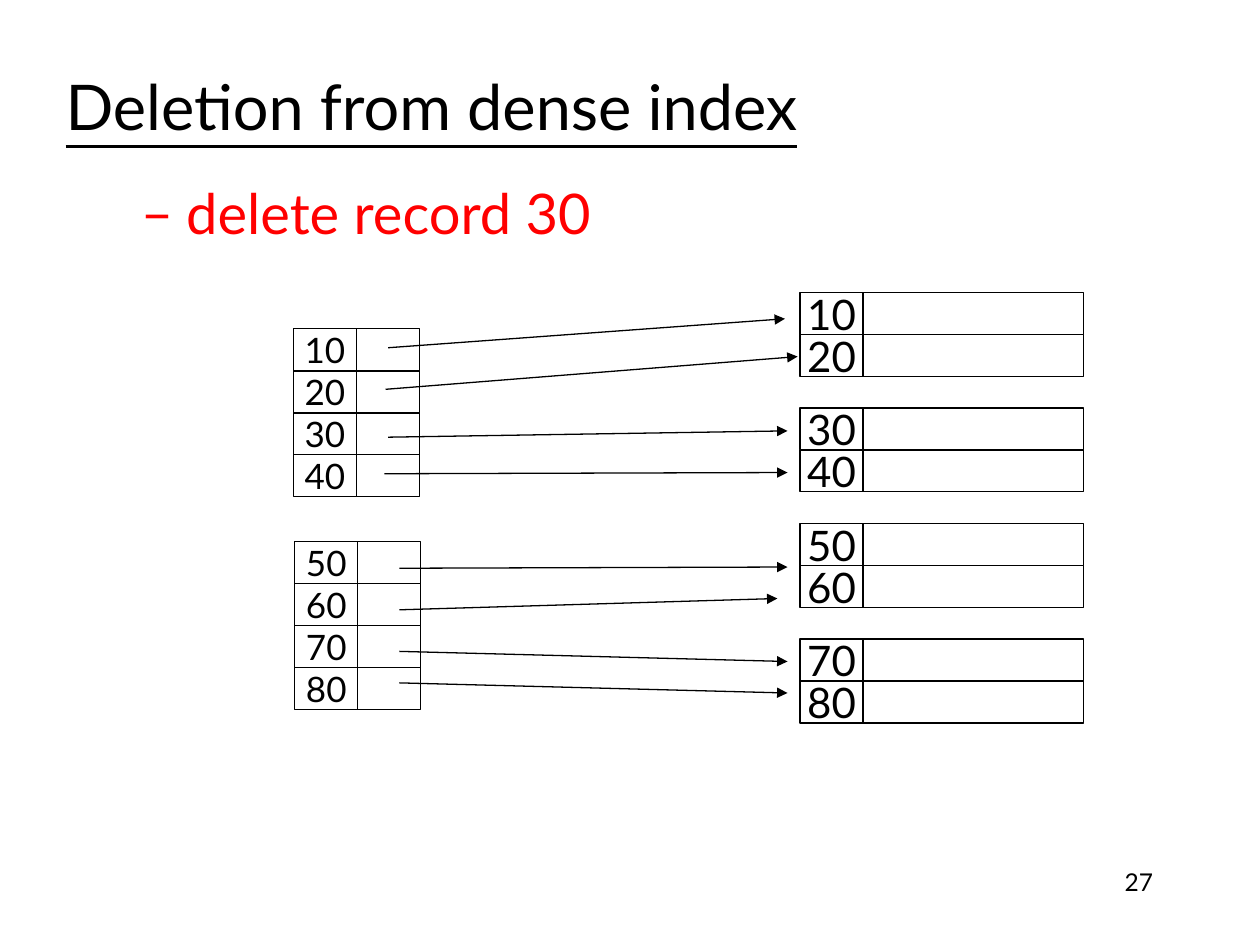
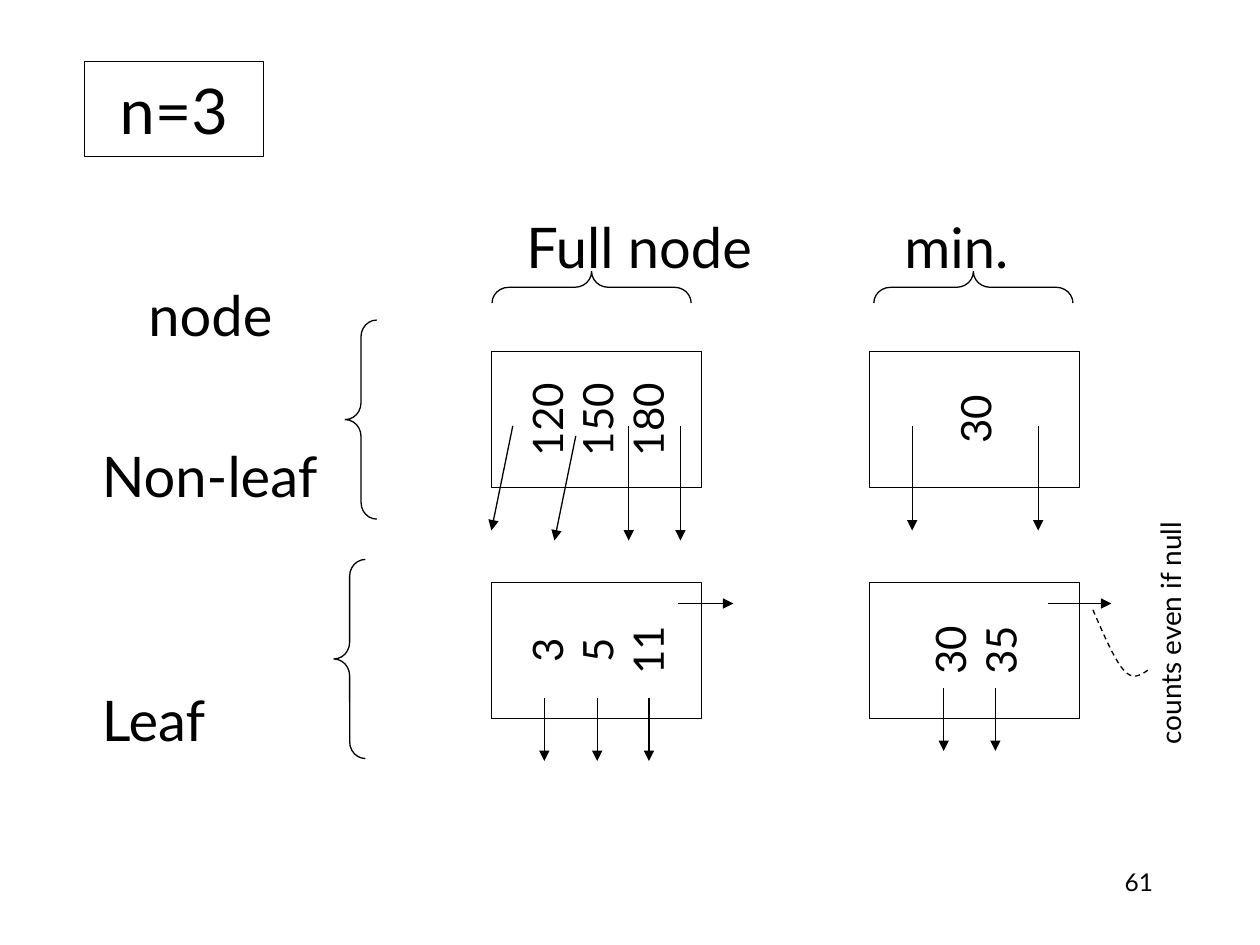
import dataclasses
import pptx
import pptx.util
import pptx.dml.color
import pptx.enum.dml
import pptx.enum.shapes
import pptx.enum.text
import pptx.oxml
import pptx.oxml.ns

Inches = pptx.util.Inches
ALIGN = pptx.enum.text.PP_ALIGN
ANCHOR = pptx.enum.text.MSO_ANCHOR
SHAPE = pptx.enum.shapes.MSO_SHAPE
NS = pptx.oxml.ns.nsdecls("a")


@dataclasses.dataclass(frozen=True)
class Theme:
    font: str = "Lato"
    ink: str = "000000"
    paper: str = "FFFFFF"
    alert: str = "FF0000"
    title: int = 36
    label: int = 32
    key: int = 24
    entry: int = 20
    note: int = 16
    page: int = 14
    line: float = 0.75


THEME = Theme()
ROW = 1 / 3
KEY = 0.5


def rgb(code):
    return pptx.dml.color.RGBColor.from_string(code)


def write(frame, text, size=THEME.label, color=THEME.ink, align=ALIGN.LEFT,
          anchor=ANCHOR.MIDDLE, wrap=False, under=False, bullet=None, hang=0):
    frame.auto_size = pptx.enum.text.MSO_AUTO_SIZE.NONE
    frame.word_wrap = wrap
    frame.vertical_anchor = anchor
    frame.margin_left = frame.margin_right = Inches(0.1)
    frame.margin_top = frame.margin_bottom = Inches(0.05)
    frame.text = text
    for para in frame.paragraphs:
        para.alignment = align
        if bullet:
            props = para._p.get_or_add_pPr()
            props.set("marL", str(Inches(hang)))
            props.set("indent", str(-Inches(hang)))
            props.append(pptx.oxml.parse_xml(f'<a:buFont {NS} typeface="{THEME.font}"/>'))
            props.append(pptx.oxml.parse_xml(f'<a:buChar {NS} char="{bullet}"/>'))
        for run in para.runs:
            run.font.name = THEME.font
            run.font.size = pptx.util.Pt(size)
            run.font.color.rgb = rgb(color)
            run.font.underline = under


def place(shape, left, top, width, height):
    shape.left, shape.top = Inches(left), Inches(top)
    shape.width, shape.height = Inches(width), Inches(height)


def stroke(line):
    line.color.rgb = rgb(THEME.ink)
    line.width = pptx.util.Pt(THEME.line)


def paint(shape):
    shape.fill.solid()
    shape.fill.fore_color.rgb = rgb(THEME.paper)
    stroke(shape.line)


def title(slide, text, left, top, width, height, **form):
    head = slide.shapes.title
    place(head, left, top, width, height)
    write(head.text_frame, text, size=THEME.title, **form)
    return head


def label(slide, text, left, top, width, height, turn=0, **form):
    box = slide.shapes.add_textbox(*map(Inches, (left, top, width, height)))
    box.rotation = turn
    write(box.text_frame, text, **form)


def number(slide, text):
    label(slide, text, 7.17, 6.83, 2.08, 0.5, size=THEME.page,
          align=ALIGN.RIGHT, anchor=ANCHOR.TOP, wrap=True)


def cell(slide, text, left, top, width, height, size=THEME.key, turn=0):
    box = slide.shapes.add_shape(SHAPE.RECTANGLE, *map(Inches, (left, top, width, height)))
    box.shadow.inherit = False
    box.rotation = turn
    paint(box)
    if text:
        write(box.text_frame, text, size=size, align=ALIGN.CENTER)


def block(slide, left, top, keys, width, size):
    for row, key in enumerate(keys):
        at = top + row * ROW
        cell(slide, str(key), left, at, KEY, ROW, size)
        cell(slide, "", left + KEY, at, width, ROW)


def node(slide, keys, left, top):
    wide, high = 1.67, 1.08
    shift = (wide - high) / 2
    cell(slide, "\n".join(map(str, keys)), left + shift, top - shift, high, wide, turn=270)


def arrow(slide, x1, y1, x2, y2):
    link = slide.shapes.add_connector(
        pptx.enum.shapes.MSO_CONNECTOR.STRAIGHT, *map(Inches, (x1, y1, x2, y2)))
    stroke(link.line)
    link.line._get_or_add_ln().append(
        pptx.oxml.parse_xml(f'<a:tailEnd {NS} type="triangle"/>'))
    link._element.spPr.append(pptx.oxml.parse_xml(f"<a:effectLst {NS}/>"))


def brace(slide, left, top, turn=0):
    mark = slide.shapes.add_shape(SHAPE.LEFT_BRACE, *map(Inches, (left, top, 0.25, 1.58)))
    mark.shadow.inherit = False
    mark.adjustments[0] = 0.53
    mark.rotation = turn
    mark.fill.background()
    stroke(mark.line)


def bezier(points, steps=12):
    for step in range(steps + 1):
        t = step / steps
        parts = ((1 - t) ** 3, 3 * t * (1 - t) ** 2, 3 * t * t * (1 - t), t ** 3)
        yield tuple(Inches(sum(p * pt[axis] for p, pt in zip(parts, points)))
                    for axis in (0, 1))


def dashes(slide, *curves):
    points = [point for curve in curves for point in bezier(curve)]
    pen = slide.shapes.build_freeform(*points[0])
    pen.add_line_segments(points[1:], close=False)
    path = pen.convert_to_shape()
    path.shadow.inherit = False
    path.fill.background()
    stroke(path.line)
    path.line.dash_style = pptx.enum.dml.MSO_LINE.DASH


def dense(slide):
    title(slide, "Deletion from dense index", 0.42, 0.42, 8.5, 0.83, wrap=True, under=True)
    label(slide, "delete record 30", 1.02, 1.36, 4, 0.64,
          color=THEME.alert, bullet="–", hang=0.36)
    for index in range(4):
        first = 10 + 20 * index
        block(slide, 6.35, 2.32 + index * 0.917, (first, first + 10), 1.75, THEME.key)
    block(slide, 2.33, 2.61, range(10, 50, 10), KEY, THEME.entry)
    block(slide, 2.34, 4.3, range(50, 90, 10), KEY, THEME.entry)
    for ends in ((3.08, 2.76, 6.23, 2.53), (3.06, 3.09, 6.33, 2.83),
                 (3.08, 3.47, 6.25, 3.42), (3.05, 3.76, 6.25, 3.75),
                 (3.17, 4.51, 6.25, 4.5), (3.17, 4.84, 6.17, 4.75),
                 (3.17, 5.17, 6.25, 5.25), (3.17, 5.42, 6.25, 5.5)):
        arrow(slide, *ends)
    number(slide, "27")


def nodes(slide):
    paint(title(slide, "n=3", 0.67, 0.49, 1.42, 0.75, align=ALIGN.CENTER))
    for text, left, top in (("Full node", 4.08, 1.68), ("min.", 7.08, 1.68),
                            ("node", 1.08, 2.22), ("Non-leaf", 0.71, 3.5),
                            ("Leaf", 0.71, 5.44)):
        label(slide, text, left, top, 2, 0.54)
    for left, top, turn in ((2.74, 2.54, 0), (2.65, 4.44, 0),
                            (4.57, 1.49, 90), (7.6, 1.49, 90)):
        brace(slide, left, top, turn)
    for keys, left, top in (((120, 150, 180), 3.9, 2.79), ((30,), 6.9, 2.79),
                            ((3, 5, 11), 3.9, 4.62), ((30, 35), 6.9, 4.62)):
        node(slide, keys, left, top)
    for start, top, end, base in ((4.07, 3.38, 3.9, 4.21), (4.57, 3.46, 4.4, 4.29),
                                  (4.99, 3.38, 4.99, 4.29), (5.4, 3.38, 5.4, 4.29),
                                  (7.24, 3.38, 7.24, 4.21), (8.24, 3.38, 8.24, 4.21),
                                  (5.38, 4.79, 5.82, 4.79), (8.32, 4.79, 8.82, 4.79)):
        arrow(slide, start, top, end, base)
    for top, stems in ((5.54, (4.32, 4.74, 5.15)), (5.46, (7.49, 7.9))):
        for stem in stems:
            arrow(slide, stem, top, stem, top + 0.5)
    label(slide, "counts even if null", 8.24, 4.84, 2.09, 0.37, turn=270,
          size=THEME.note, align=ALIGN.CENTER)
    dashes(slide, ((9.11, 5.32), (9.05, 5.36), (8.99, 5.4), (8.92, 5.32)),
           ((8.92, 5.32), (8.84, 5.24), (8.71, 4.92), (8.67, 4.83)))
    number(slide, "61")


def main():
    deck = pptx.Presentation()
    deck.slide_width, deck.slide_height = Inches(10), Inches(7.5)
    for build in (dense, nodes):
        build(deck.slides.add_slide(deck.slide_layouts[5]))
    deck.save("out.pptx")


if __name__ == "__main__":
    main()
